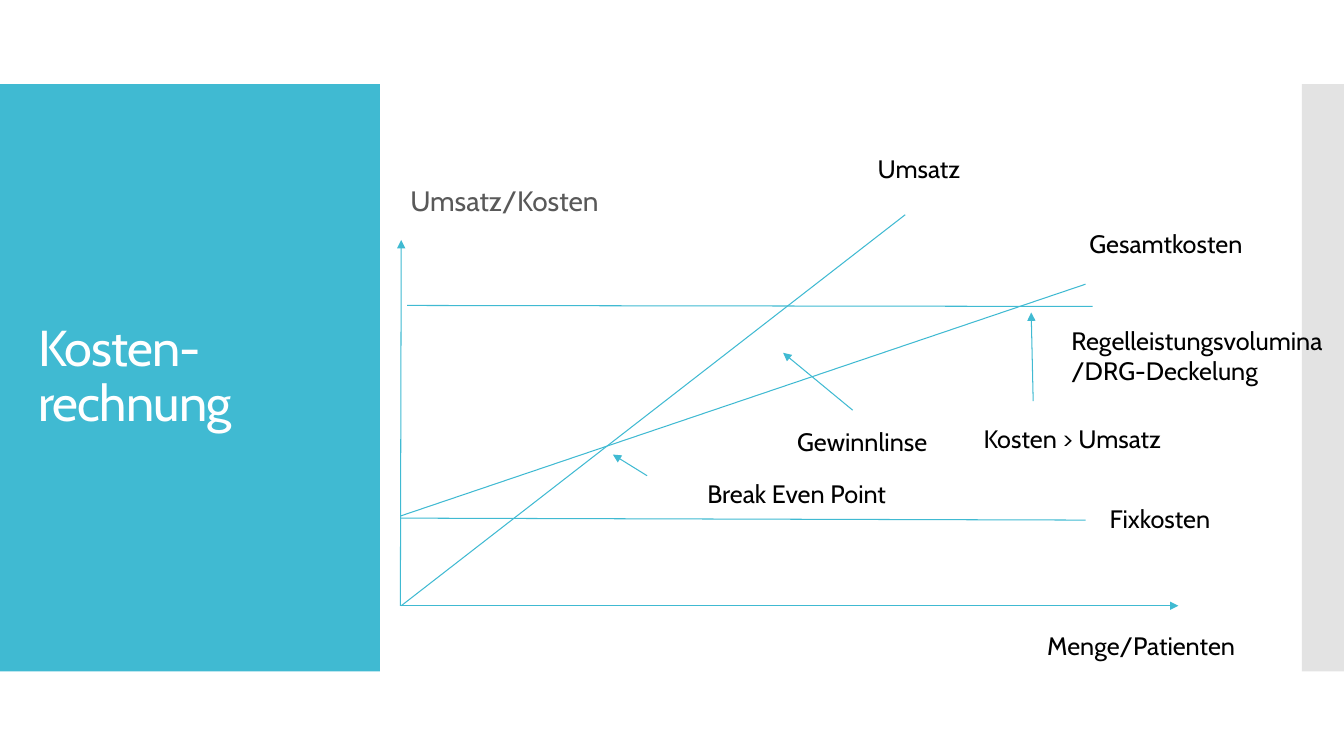
import pptx
import pptx.util
import pptx.dml.color
import pptx.enum.shapes
import pptx.enum.text
import pptx.oxml.ns
import lxml.etree

Pt = pptx.util.Pt
Middle = pptx.enum.text.MSO_ANCHOR.MIDDLE
qn = pptx.oxml.ns.qn

FONT = "Cabin"
COLORS = {"teal": "40BAD2", "gray": "C8C8C8", "white": "FFFFFF",
          "black": "000000", "dim": "595959"}

# Curves and axes: start x, y, end x, y, arrowhead
LINES = [
    (0, 372.7, 0.6, 111.4, True),         # money axis
    (0, 372.7, 555.7, 372.7, True),       # volume axis
    (4.9, 158.2, 494.5, 158.9, False),    # cap
    (0, 310.1, 489.4, 311.5, False),      # fixed costs
    (0.6, 372.7, 360.6, 93.4, False),     # revenue
    (0, 308.6, 489.4, 143, False),        # total costs
    (452, 226.6, 450.6, 163.2, True),     # costs above revenue
    (176.2, 279.8, 151.8, 264.7, True),   # break even
    (323.1, 233, 273.4, 192, True),       # profit lens
]

# Labels: text, x, y, width
LABELS = [
    ("Menge/Patienten", 454.9, 386.4, 151.2),
    ("Fixkosten", 499.5, 295.7, 151.2),
    ("Regelleistungsvolumina/DRG-Deckelung", 472.2, 169, 201.6),
    ("Umsatz", 333.9, 45.8, 151.2),
    ("Gesamtkosten", 485.1, 99.8, 151.2),
    ("Kosten > Umsatz", 409.5, 238.8, 151.2),
    ("Break Even Point", 212.2, 278.4, 151.2),
    ("Gewinnlinse", 276.3, 241, 151.2),
]


def color(name):
    return pptx.dml.color.RGBColor.from_string(COLORS[name])


def style(para, size, tint):
    for run in para.runs:
        run.font.name = FONT
        run.font.size = Pt(size)
        run.font.color.rgb = color(tint)


def panel(slide, x, y, w, h, tint, alpha=None):
    kind = pptx.enum.shapes.MSO_SHAPE.RECTANGLE
    rect = slide.shapes.add_shape(kind, Pt(x), Pt(y), Pt(w), Pt(h))
    rect.shadow.inherit = False
    rect.fill.solid()
    rect.fill.fore_color.rgb = color(tint)
    rect.line.fill.background()
    if alpha:
        clr = rect.fill._xPr.find(".//" + qn("a:srgbClr"))
        lxml.etree.SubElement(clr, qn("a:alpha"), val=str(alpha * 1000))


def label(slide, text, x, y, w, size=18, tint="black"):
    box = slide.shapes.add_textbox(Pt(x), Pt(y), Pt(w), Pt(28.8))
    frame = box.text_frame
    frame.word_wrap = True
    frame.auto_size = pptx.enum.text.MSO_AUTO_SIZE.SHAPE_TO_FIT_TEXT
    frame.text = text
    style(frame.paragraphs[0], size, tint)
    return frame


def line(slide, x1, y1, x2, y2, arrow):
    kind = pptx.enum.shapes.MSO_CONNECTOR.STRAIGHT
    conn = slide.shapes.add_connector(kind, Pt(x1), Pt(y1), Pt(x2), Pt(y2))
    conn.line.color.rgb = color("teal")
    conn.line.width = Pt(0.75)
    if arrow:
        stroke = conn.line._get_or_add_ln()
        lxml.etree.SubElement(stroke, qn("a:tailEnd"), type="triangle")
    lxml.etree.SubElement(conn._element.spPr, qn("a:effectLst"))


# Teal title block on the left
def heading(slide, x, y, w, h):
    panel(slide, x, y, w, h, "teal")
    title = slide.shapes.title
    title.left, title.top = Pt(x + 20), Pt(y + 28.8)
    title.width, title.height = Pt(w - 39.6), Pt(h - 57.6)
    # Bring the title in front of its block
    slide.shapes._spTree.append(title._element)
    frame = title.text_frame
    frame.word_wrap = True
    frame.vertical_anchor = Middle
    frame.text = "Kosten-rechnung"
    para = frame.paragraphs[0]
    para.alignment = pptx.enum.text.PP_ALIGN.LEFT
    para.line_spacing = 0.9
    style(para, 36, "white")
    para.runs[0]._r.get_or_add_rPr().set("spc", "-60")


# Break-even diagram
def diagram(slide, x, y, w):
    for x1, y1, x2, y2, arrow in LINES:
        line(slide, x + x1, y + y1, x + x2, y + y2, arrow)
    for text, left, top, width in LABELS:
        label(slide, text, x + left, y + top, width)
    frame = label(slide, "Umsatz/Kosten", x, y + 70.3, w, 20, "dim")
    frame.vertical_anchor = Middle
    frame.paragraphs[0].line_spacing = 0.9


def main():
    deck = pptx.Presentation()
    deck.slide_width, deck.slide_height = Pt(960), Pt(540)
    slide = deck.slides.add_slide(deck.slide_layouts[5])
    heading(slide, 0, 60, 271.4, 419.5)
    panel(slide, 930, 60, 30, 419.5, "gray", 50)
    diagram(slide, 286, 60, 617)
    deck.save("out.pptx")


if __name__ == "__main__":
    main()
